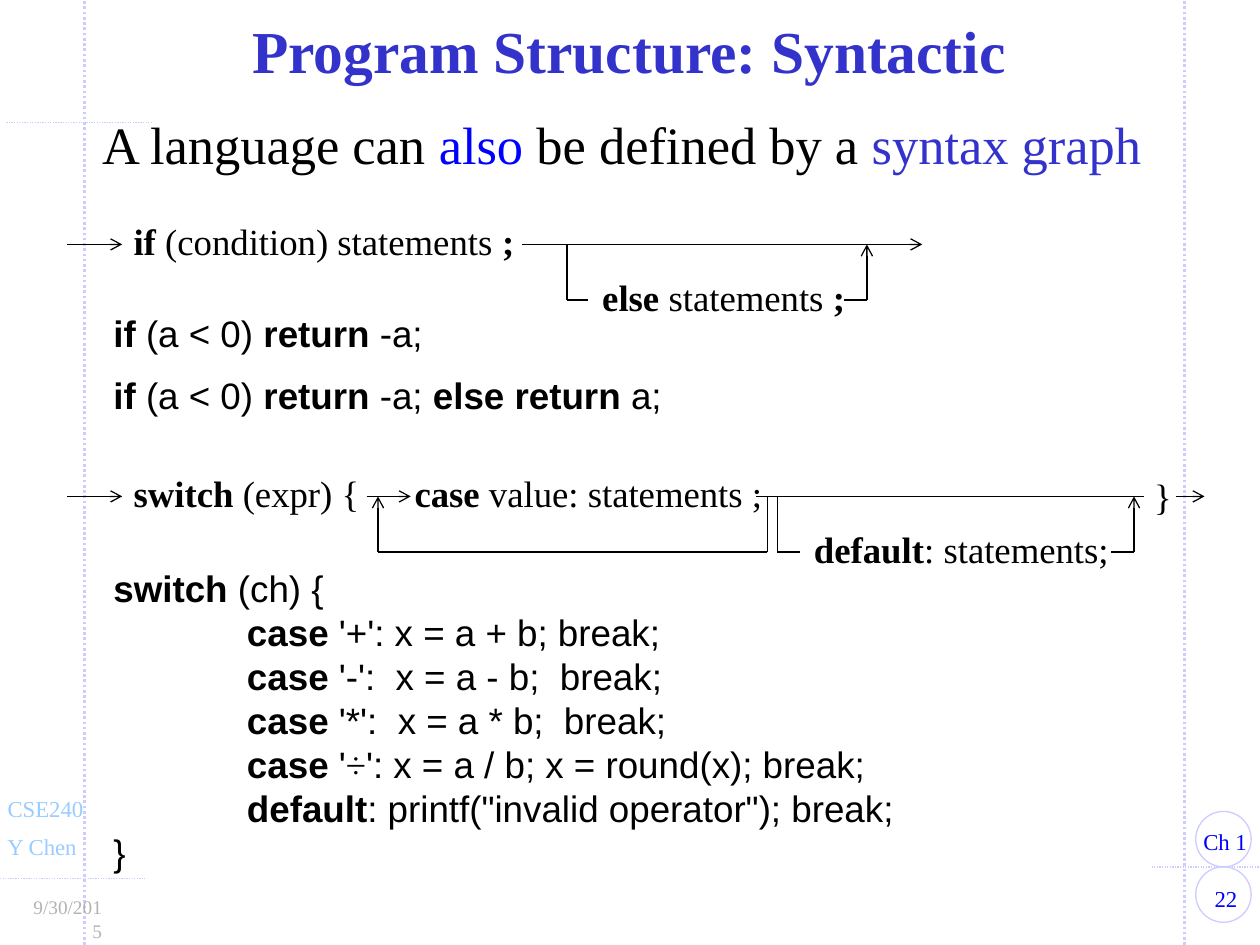
from pptx import Presentation
from pptx.dml.color import RGBColor
from pptx.enum.dml import MSO_LINE
from pptx.enum.shapes import MSO_CONNECTOR, MSO_SHAPE
from pptx.enum.text import MSO_ANCHOR, MSO_AUTO_SIZE, PP_ALIGN
from pptx.oxml.ns import qn
from pptx.util import Inches, Pt
from lxml import etree

LINE, OVAL = MSO_CONNECTOR.STRAIGHT, MSO_SHAPE.OVAL
DOTS = MSO_LINE.ROUND_DOT
LEFT, MID, RIGHT, JUST = (PP_ALIGN.LEFT, PP_ALIGN.CENTER,
                          PP_ALIGN.RIGHT, PP_ALIGN.JUSTIFY)
SERIF, SANS = "Times New Roman", "Arial"
COLOR = {"ink": "000000", "title": "3333CC", "blue": "0000FF",
         "rule": "CCCCFF", "sky": "99CCFF", "gray": "B2B2B2"}
W, H = 10, 7.5

# Run styles
BOLD = {"bold": True}
BLUE, HEAD = {"color": "blue"}, {"color": "title"}

# Content
TITLE = "Program Structure: Syntactic"
LEAD = [[("A language can ",), ("also", BLUE), (" be defined by a ",),
         ("syntax graph", HEAD)]]
IF_RULE = [[("if", BOLD), (" (condition) statements ",), (";", BOLD)]]
ELSE_RULE = [[("else", BOLD), (" statements ",), (";", BOLD)]]
SWITCH_RULE = [[("switch", BOLD), (" (expr) {\t",), ("case", BOLD),
                (" value: statements ;",)]]
DEFAULT_RULE = [[("default", BOLD), (": statements;",)]]
IF_CODE = [
    [("if", BOLD), (" (a < 0) ",), ("return", BOLD), (" -a;",)],
    [("if", BOLD), (" (a < 0) ",), ("return", BOLD), (" -a; ",),
     ("else return", BOLD), (" a;",)],
]
SWITCH_CODE = [
    [("switch", BOLD), (" (ch) {",)],
    [("\tcase", BOLD), (" '+': x = a + b; break;",)],
    [("\tcase", BOLD), (" '-':  x = a - b;  break;",)],
    [("\tcase", BOLD), (" '*':  x = a * b;  break;",)],
    [("\tcase ", BOLD), ("'",), ("÷", {"face": SERIF}),
     ("': x = a / b; x = round(x); break;",)],
    [("\tdefault", BOLD), (": printf(\"invalid operator\"); break;",)],
    [("}",)],
]

# Rows of the two syntax graphs: main track and lower track
DROP = 0.44
IF_Y, SW_Y = 1.94, 3.94
IF_LOW, SW_LOW = IF_Y + DROP, SW_Y + DROP
ROW = 0.25      # from the top of a label to its track
EDGE, CODE = 0.95, 0.79     # left sides of rules and code

# Tracks: points, arrow at the end
TRACKS = [
    ([(0.53, IF_Y), (0.97, IF_Y)], True),
    ([(4.14, IF_Y), (7.32, IF_Y)], True),
    ([(4.5, IF_Y), (4.5, IF_LOW), (4.67, IF_LOW)], False),
    ([(6.7, IF_LOW), (6.88, IF_LOW), (6.88, IF_Y)], True),
    ([(0.53, SW_Y), (0.97, SW_Y)], True),
    ([(2.91, SW_Y), (3.26, SW_Y)], True),
    ([(6, SW_Y), (9.08, SW_Y)], False),
    ([(9.33, SW_Y), (9.56, SW_Y)], True),
    ([(6.09, SW_Y), (6.09, SW_LOW), (3, SW_LOW), (3, SW_Y)], True),
    ([(6.17, SW_Y), (6.17, SW_LOW), (6.35, SW_LOW)], False),
    ([(8.82, SW_LOW), (9, SW_LOW), (9, SW_Y)], True),
]
# Frame rules: start, end, width
RULES = [((0.67, H), (0.67, 0), 1.5), ((9.4, H), (9.4, 0), 1.5),
         ((0, 6.97), (1.15, 6.97), 0.75), ((9.14, 6.88), (10.05, 6.88), 0.75),
         ((0.05, 0.97), (1.2, 0.97), 0.75)]
# Margin notes: text, box, size, colour, alignment, wrap
NOTES = [
    ("22", (9.44, 6.97, 0.58, 0.32), 13, "blue", MID, True),
    ("Ch 1", (9.44, 6.52, 0.56, 0.32), 13, "blue", LEFT, False),
    ("CSE240", (-0.05, 6.26, 0.81, 0.32), 13, "sky", LEFT, False),
    ("Y Chen", (-0.05, 6.56, 0.77, 0.32), 13, "sky", LEFT, False),
    ("9/30/2015", (0.09, 7.06, 0.83, 0.29), 11, "gray", RIGHT, True),
]
# Rules and code: paragraphs, box, face, tab stop
BLOCKS = [
    (IF_RULE, (EDGE, IF_Y - ROW, 3.31, 0.45), SERIF, None),
    (ELSE_RULE, (4.67, IF_LOW - ROW, 2.14, 0.45), SERIF, None),
    (IF_CODE, (CODE, 2.42, 4.56, 0.95), SANS, None),
    (SWITCH_RULE, (EDGE, SW_Y - ROW, 5.28, 0.45), SERIF, 2.23),
    (DEFAULT_RULE, (6.35, SW_LOW - ROW, 2.56, 0.45), SERIF, None),
    ([[("}",)]], (9.05, 3.71, 0.37, 0.45), SERIF, None),
    (SWITCH_CODE, (CODE, 4.44, 6.48, 2.56), SANS, 1.06),
]


def rgb(name):
    return RGBColor.from_string(COLOR[name])


def style(run, size, face, color="ink", bold=False):
    font = run.font
    font.size, font.name, font.bold = Pt(size), face, bold
    font.color.rgb = rgb(color)


def pad(frame):
    frame.margin_left = frame.margin_right = Inches(0.11)
    frame.margin_top = frame.margin_bottom = Inches(0.05)
    frame.auto_size = MSO_AUTO_SIZE.NONE


def write(slide, paras, box, size, face=SERIF, color="ink", align=LEFT,
          wrap=False, tab=None):
    frame = slide.shapes.add_textbox(*map(Inches, box)).text_frame
    pad(frame)
    frame.word_wrap = wrap
    for i, runs in enumerate(paras):
        para = frame.paragraphs[0] if i == 0 else frame.add_paragraph()
        para.alignment = align
        if tab:
            stops = etree.SubElement(para._p.get_or_add_pPr(), qn("a:tabLst"))
            etree.SubElement(stops, qn("a:tab"), pos=str(Inches(tab)), algn="l")
        for text, *extra in runs:
            run = para.add_run()
            run.text = text
            look = {"face": face, "color": color}
            look.update(*extra)
            style(run, size, **look)
    return frame


def draw(slide, start, end, color="ink", width=0.75, dash=None, arrow=False):
    line = slide.shapes.add_connector(LINE, *map(Inches, start + end))
    line.line.color.rgb = rgb(color)
    line.line.width = Pt(width)
    if dash:
        line.line.dash_style = dash
    if arrow:
        etree.SubElement(line.line._get_or_add_ln(), qn("a:tailEnd"),
                         type="arrow")
    etree.SubElement(line._element.spPr, qn("a:effectLst"))


def main():
    deck = Presentation()
    deck.slide_width, deck.slide_height = Inches(W), Inches(H)
    slide = deck.slides.add_slide(deck.slide_layouts[5])

    # Frame and margin notes
    for start, end, width in RULES:
        draw(slide, start, end, "rule", width, DOTS)
    for top in (6.44, 6.44 + DROP):
        ring = slide.shapes.add_shape(
            OVAL, *map(Inches, (9.49, top, DROP, DROP)))
        ring.shadow.inherit = False
        ring.fill.background()
        ring.line.color.rgb = rgb("rule")
        ring.line.width = Pt(0.75)
    for text, box, size, color, align, wrap in NOTES:
        write(slide, [[(text,)]], box, size, color=color, align=align,
              wrap=wrap)

    # Title and lead sentence
    title = slide.shapes.title
    title.left, title.top, title.width, title.height = map(
        Inches, (0.73, 0.09, 8.53, 0.7))
    frame = title.text_frame
    pad(frame)
    frame.vertical_anchor = MSO_ANCHOR.MIDDLE
    para = frame.paragraphs[0]
    para.alignment, para.line_spacing = MID, 0.85
    run = para.add_run()
    run.text = TITLE
    style(run, 34, SERIF, "title", True)
    lead = write(slide, LEAD, (0.7, 0.88, 9.08, 2.74), 30, align=JUST,
                 wrap=True)
    lead.paragraphs[0].line_spacing = 0.95

    # Syntax rules and code samples
    for paras, box, face, tab in BLOCKS:
        frame = write(slide, paras, box, 21, face, tab=tab)
        if paras is IF_CODE:
            frame.paragraphs[1].line_spacing = 1.4

    # Graph tracks
    for points, arrow in TRACKS:
        last = len(points) - 2
        for i, (start, end) in enumerate(zip(points, points[1:])):
            draw(slide, start, end, arrow=arrow and i == last)

    deck.save("out.pptx")


if __name__ == "__main__":
    main()
